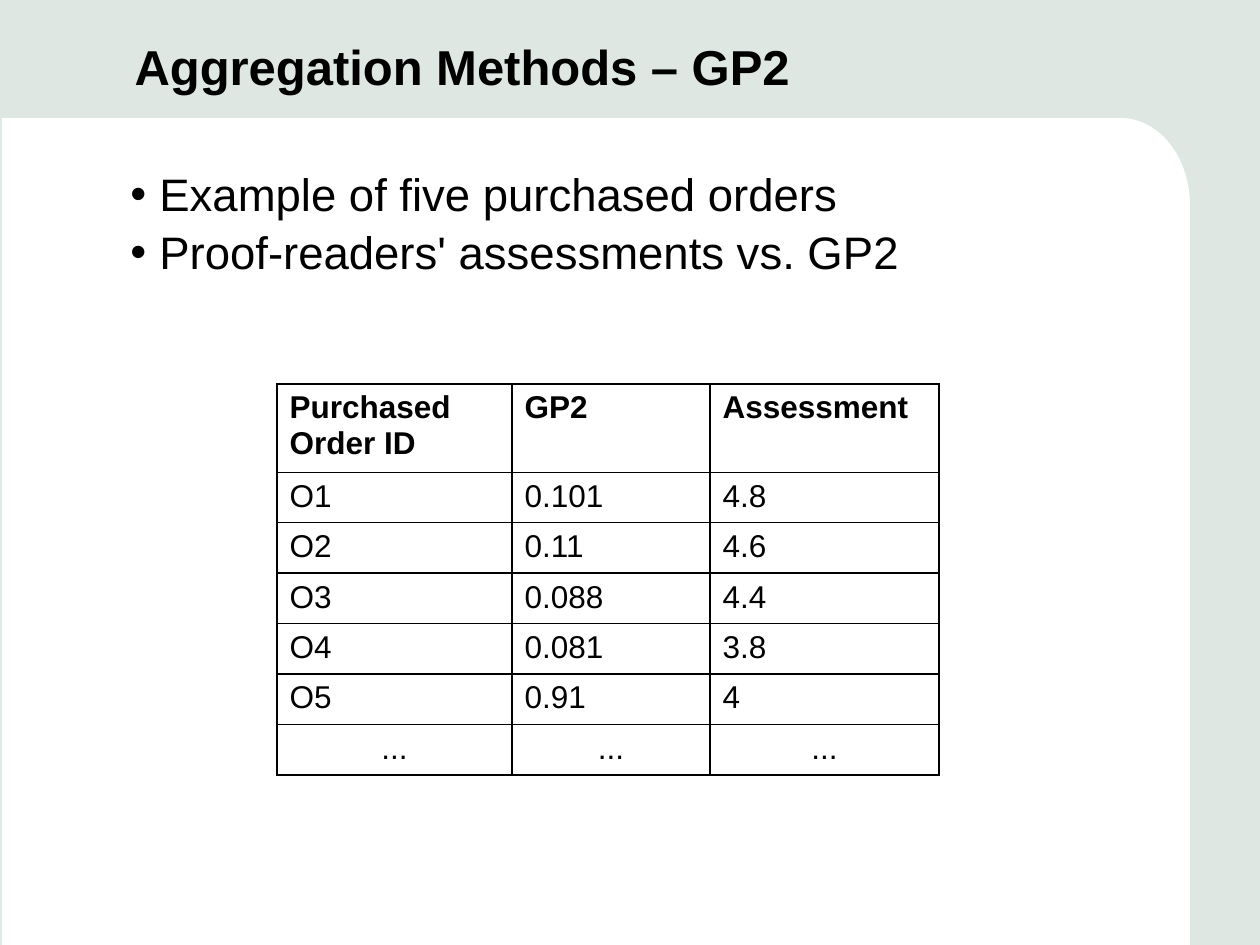
from lxml.etree import SubElement
from pptx import Presentation
from pptx.dml.color import RGBColor
from pptx.enum.shapes import MSO_SHAPE
from pptx.enum.text import MSO_ANCHOR, MSO_AUTO_SIZE, PP_ALIGN
from pptx.oxml.ns import qn
from pptx.util import Pt

COLORS = {"back": "DEE7E2", "panel": "FFFFFF", "text": "000000", "line": "000000"}
SCALE = 914400 / 126
ROWS = [
    ("Purchased Order ID", "GP2", "Assessment"),
    ("O1", "0.101", "4.8"),
    ("O2", "0.11", "4.6"),
    ("O3", "0.088", "4.4"),
    ("O4", "0.081", "3.8"),
    ("O5", "0.91", "4"),
    ("...", "...", "..."),
]


def px(num):
    return round(num * SCALE)


def color(name):
    return RGBColor.from_string(COLORS[name])


class Deck:
    """Holds the style and the current slide."""

    font = "Arial"

    def __init__(self, wide, high):
        self.prs = Presentation()
        self.prs.slide_width, self.prs.slide_height = px(wide), px(high)
        self.slide = self.prs.slides.add_slide(self.prs.slide_layouts[5])
        fill = self.slide.background.fill
        fill.solid()
        fill.fore_color.rgb = color("back")

    def style(self, para, size, bold=False, align=PP_ALIGN.LEFT):
        para.alignment = align
        look = {"name": self.font, "size": Pt(size), "bold": bold}
        for run in para.runs:
            for key, val in look.items():
                setattr(run.font, key, val)
            run.font.color.rgb = color("text")

    def title(self, text, box, size):
        shape = self.slide.shapes.title
        for key, val in zip(("left", "top", "width", "height"), box):
            setattr(shape, key, px(val))
        frame = shape.text_frame
        frame.text = text
        frame.word_wrap = True
        frame.auto_size = MSO_AUTO_SIZE.NONE
        frame.vertical_anchor = MSO_ANCHOR.MIDDLE
        self.style(frame.paragraphs[0], size, bold=True)

    def panel(self, kind, box):
        shape = self.slide.shapes.add_shape(kind, *map(px, box))
        shape.shadow.inherit = False
        shape.fill.solid()
        shape.fill.fore_color.rgb = color("panel")
        shape.line.fill.background()

    def bullets(self, lines, box, size, indent):
        frame = self.slide.shapes.add_textbox(*map(px, box)).text_frame
        frame.word_wrap = True
        for num, line in enumerate(lines):
            para = frame.add_paragraph() if num else frame.paragraphs[0]
            para.text = line
            para.space_before = Pt(2)
            self.style(para, size)
            props = para._p.get_or_add_pPr()
            props.set("marL", str(px(indent)))
            props.set("indent", str(-px(indent)))
            SubElement(props, qn("a:buFont"), typeface=self.font)
            SubElement(props, qn("a:buChar"), char="•")

    def border(self, cell):
        props = cell._tc.get_or_add_tcPr()
        for side in ("lnL", "lnR", "lnT", "lnB"):
            line = SubElement(props, qn("a:" + side), w=str(Pt(1)))
            fill = SubElement(line, qn("a:solidFill"))
            SubElement(fill, qn("a:srgbClr"), val=COLORS["line"])

    def table(self, rows, spot, wides, highs, size):
        box = (*spot, sum(wides), sum(highs))
        table = self.slide.shapes.add_table(len(rows), len(wides), *map(px, box)).table
        table.horz_banding = False
        for col, wide in zip(table.columns, wides):
            col.width = px(wide)
        for row, high, texts in zip(table.rows, highs, rows):
            row.height = px(high)
            for cell, text in zip(row.cells, texts):
                cell.text = text
                align = PP_ALIGN.CENTER if text == "..." else PP_ALIGN.LEFT
                self.style(cell.text_frame.paragraphs[0], size, texts is rows[0], align)
                self.border(cell)
                cell.fill.background()


def main():
    deck = Deck(1260, 945)
    deck.title("Aggregation Methods – GP2", (122, 17, 769, 97), 28)
    deck.panel(MSO_SHAPE.RECTANGLE, (2, 118, 1121, 827))
    deck.panel(MSO_SHAPE.OVAL, (1051, 118, 139, 174))
    deck.panel(MSO_SHAPE.RECTANGLE, (674, 204, 516, 741))
    deck.bullets(
        ["Example of five purchased orders", "Proof-readers' assessments vs. GP2"],
        (118, 160, 1023, 723), 26, 29)
    deck.table(ROWS, (277, 384), (235, 198, 229), (83, *[48] * 6), 18)
    deck.prs.save("out.pptx")


if __name__ == "__main__":
    main()
